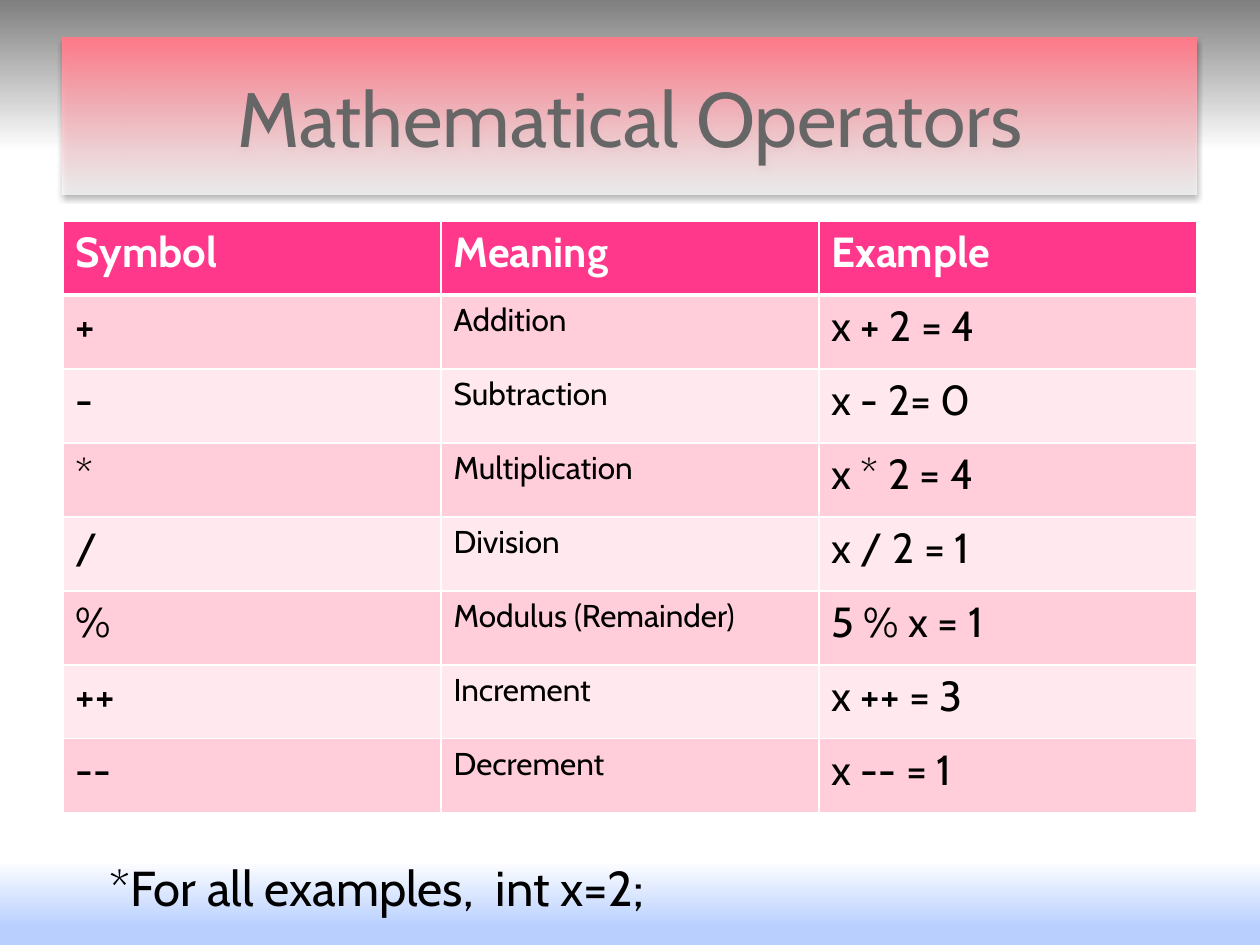
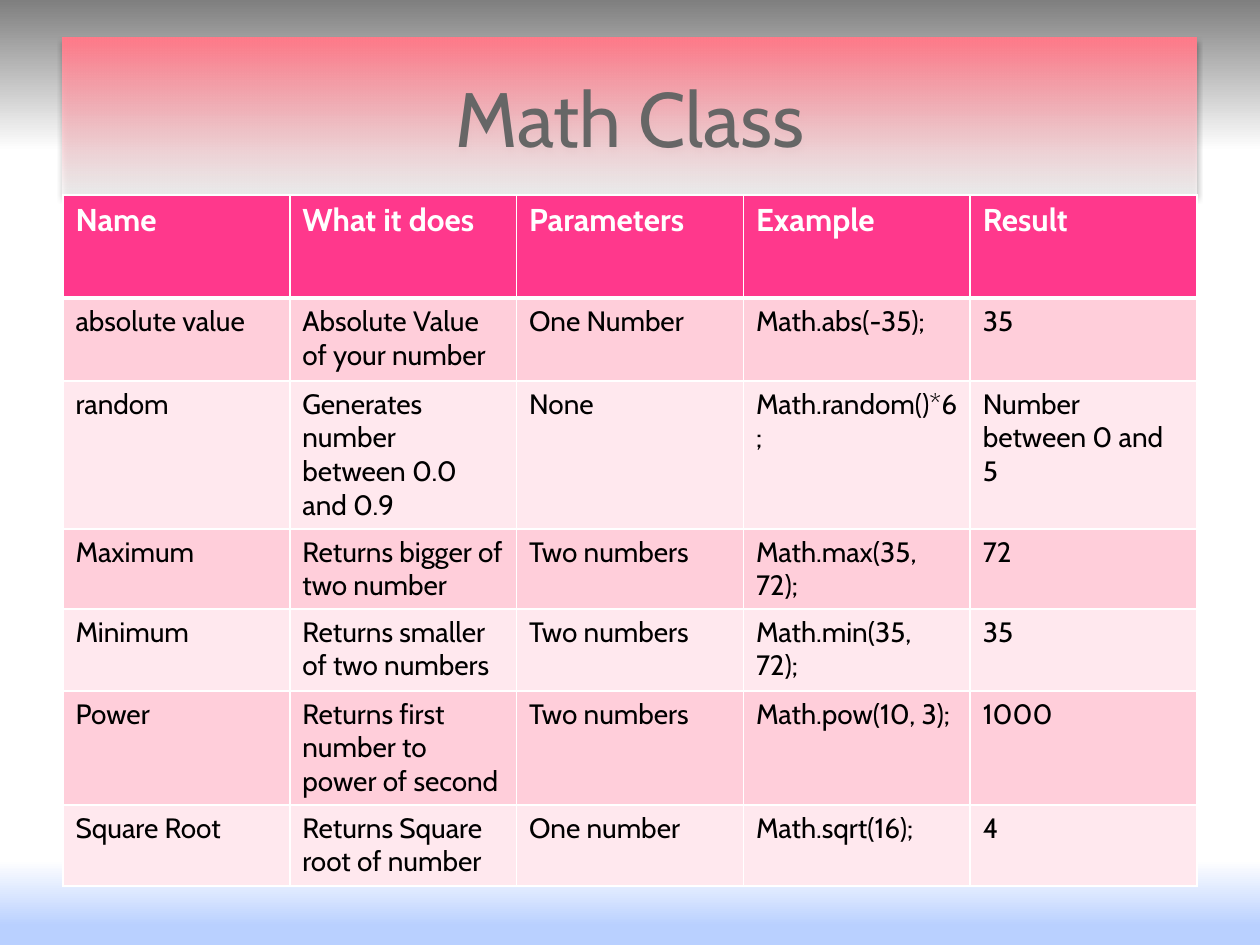
from pptx import Presentation
from pptx.dml.color import RGBColor
from pptx.enum.shapes import MSO_SHAPE as SHAPE
from pptx.enum.text import MSO_ANCHOR as ANCHOR, PP_ALIGN as ALIGN
from pptx.oxml import parse_xml
from pptx.oxml.ns import nsdecls, qn
from pptx.util import Pt

PX = 914400 / 126
FONT = "Cabin"
WHITE, BLACK, TITLE_GREY = "FFFFFF", "000000", "666666"
HEADER_PINK = "FF388C"
BAND_PINKS = ("FFCEDA", "FFE8EE")
# Gradient stops: position %, colour, opacity %
PAGE_STOPS = [(0, "7F7F7F", 100), (16, WHITE, 100), (91, WHITE, 100), (98, "B9D0FF", 100)]
TITLE_STOPS = [(0, "FF7A89", 100), (100, WHITE, 71)]

TITLE_BOX = (63, 38, 1134, 157)
TABLE_LEFT, TABLE_WIDTH = 63, 1134

OPERATORS = [
    ("Symbol", "Meaning", "Example"),
    ("+", "Addition", "x + 2 = 4"),
    ("-", "Subtraction", "x - 2= 0"),
    ("*", "Multiplication", "x * 2 = 4"),
    ("/", "Division", "x / 2 = 1"),
    ("%", "Modulus (Remainder)", "5 % x = 1"),
    ("++", "Increment", "x ++ = 3"),
    ("--", "Decrement", "x -- = 1"),
]
MATH_METHODS = [
    ("Name", "What it does", "Parameters", "Example", "Result"),
    ("absolute value", "Absolute Value of your number", "One Number", "Math.abs(-35);", "35"),
    ("random", "Generates number between 0.0 and 0.9", "None", "Math.random()*6;",
     "Number between 0 and 5"),
    ("Maximum", "Returns bigger of two number", "Two numbers", "Math.max(35, 72);", "72"),
    ("Minimum", "Returns smaller of two numbers", "Two numbers", "Math.min(35, 72);", "35"),
    ("Power", "Returns first number to power of second", "Two numbers", "Math.pow(10, 3);", "1000"),
    ("Square Root", "Returns Square root of number", "One number", "Math.sqrt(16);", "4"),
]


def px(length):
    return round(length * PX)


def rgb(color):
    return RGBColor.from_string(color)


def write(frame, text, size=18, color=BLACK, bold=False, align=ALIGN.LEFT, anchor=ANCHOR.TOP):
    frame.word_wrap = True
    frame.vertical_anchor = anchor
    paragraph = frame.paragraphs[0]
    paragraph.alignment = align
    run = paragraph.add_run()
    run.text = text
    font = run.font
    font.name, font.size, font.bold = FONT, Pt(size), bold
    font.color.rgb = rgb(color)


def fill_gradient(owner, fill, stops):
    """Fill a slide background or a shape from top to bottom."""
    fill.solid()
    solid = owner.element.find(".//" + qn("a:solidFill"))
    marks = "".join(
        f'<a:gs pos="{pos * 1000}"><a:srgbClr val="{color}">'
        f'<a:alpha val="{opacity * 1000}"/></a:srgbClr></a:gs>'
        for pos, color, opacity in stops)
    solid.getparent().replace(solid, parse_xml(
        f'<a:gradFill {nsdecls("a")} rotWithShape="1"><a:gsLst>{marks}</a:gsLst>'
        '<a:lin ang="5400000" scaled="0"/></a:gradFill>'))


def add_title(slide, text, box):
    band = slide.shapes.add_shape(SHAPE.RECTANGLE, *map(px, box))
    fill_gradient(band, band.fill, TITLE_STOPS)
    band.line.fill.background()
    band.shadow.inherit = False
    # Soft shadow below the band
    band.element.spPr.find(qn("a:effectLst")).append(parse_xml(
        f'<a:outerShdw {nsdecls("a")} blurRad="{Pt(3.1)}" dist="{Pt(1.6)}" dir="5400000" '
        f'rotWithShape="0"><a:srgbClr val="{BLACK}"><a:alpha val="38000"/></a:srgbClr>'
        '</a:outerShdw>'))
    write(band.text_frame, text, size=44, color=TITLE_GREY, align=ALIGN.CENTER,
          anchor=ANCHOR.MIDDLE)


def set_borders(cell, top=1, bottom=1):
    widths = {"L": 1, "R": 1, "T": top, "B": bottom}
    for place, (side, width) in enumerate(widths.items()):
        cell._tc.get_or_add_tcPr().insert(place, parse_xml(
            f'<a:ln{side} {nsdecls("a")} w="{Pt(width)}"><a:solidFill>'
            f'<a:srgbClr val="{WHITE}"/></a:solidFill></a:ln{side}>'))


def add_grid(slide, rows, top, heights, header_size, column_sizes):
    count = len(rows[0])
    grid = slide.shapes.add_table(len(rows), count, px(TABLE_LEFT), px(top),
                                  px(TABLE_WIDTH), px(sum(heights))).table
    for column in grid.columns:
        column.width = px(TABLE_WIDTH) // count
    for r, (values, height) in enumerate(zip(rows, heights)):
        grid.rows[r].height = px(height)
        header = r == 0
        for c, value in enumerate(values):
            cell = grid.cell(r, c)
            cell.fill.solid()
            cell.fill.fore_color.rgb = rgb(HEADER_PINK if header else BAND_PINKS[(r - 1) % 2])
            # Thick rule between header and body
            set_borders(cell, top=3 if r == 1 else 1, bottom=3 if header else 1)
            write(cell.text_frame, value, size=header_size if header else column_sizes[c],
                  color=WHITE if header else BLACK, bold=header)


def add_note(slide, text, box):
    note = slide.shapes.add_textbox(*map(px, box))
    write(note.text_frame, text, size=28)


def new_slide(deck, title):
    slide = deck.slides.add_slide(deck.slide_layouts[6])
    fill_gradient(slide, slide.background.fill, PAGE_STOPS)
    add_title(slide, title, TITLE_BOX)
    return slide


def main():
    deck = Presentation()
    deck.slide_width, deck.slide_height = px(1260), px(945)

    # Operators with a note on the variable
    operators = new_slide(deck, "Mathematical Operators")
    add_grid(operators, OPERATORS, top=221, heights=[74] * len(OPERATORS),
             header_size=24, column_sizes=(24, 18, 24))
    add_note(operators, "*For all examples,  int x=2;", (97, 851, 621, 72))

    # Methods of the Math class
    methods = new_slide(deck, "Math Class")
    add_grid(methods, MATH_METHODS, top=195, heights=[103, 83, 148, 80, 82, 114, 81],
             header_size=18, column_sizes=[16] * 5)

    deck.save("out.pptx")


if __name__ == "__main__":
    main()
